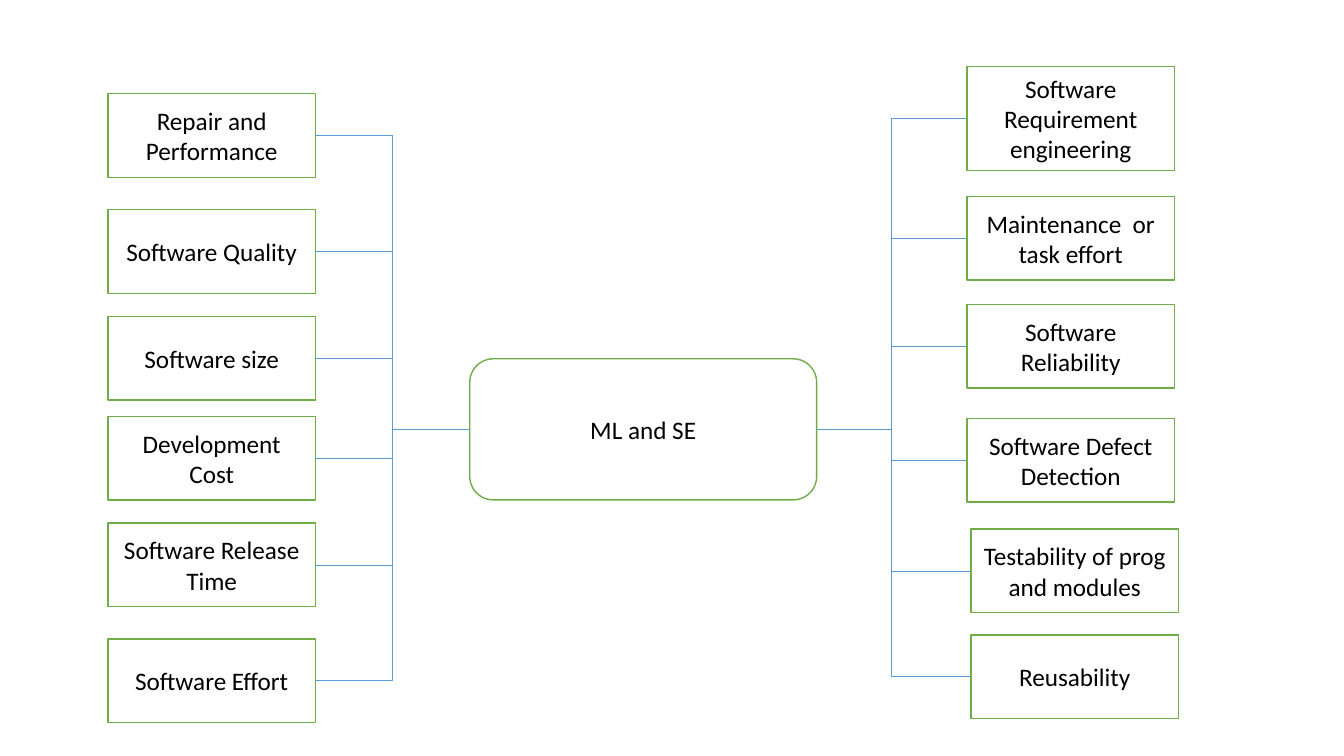
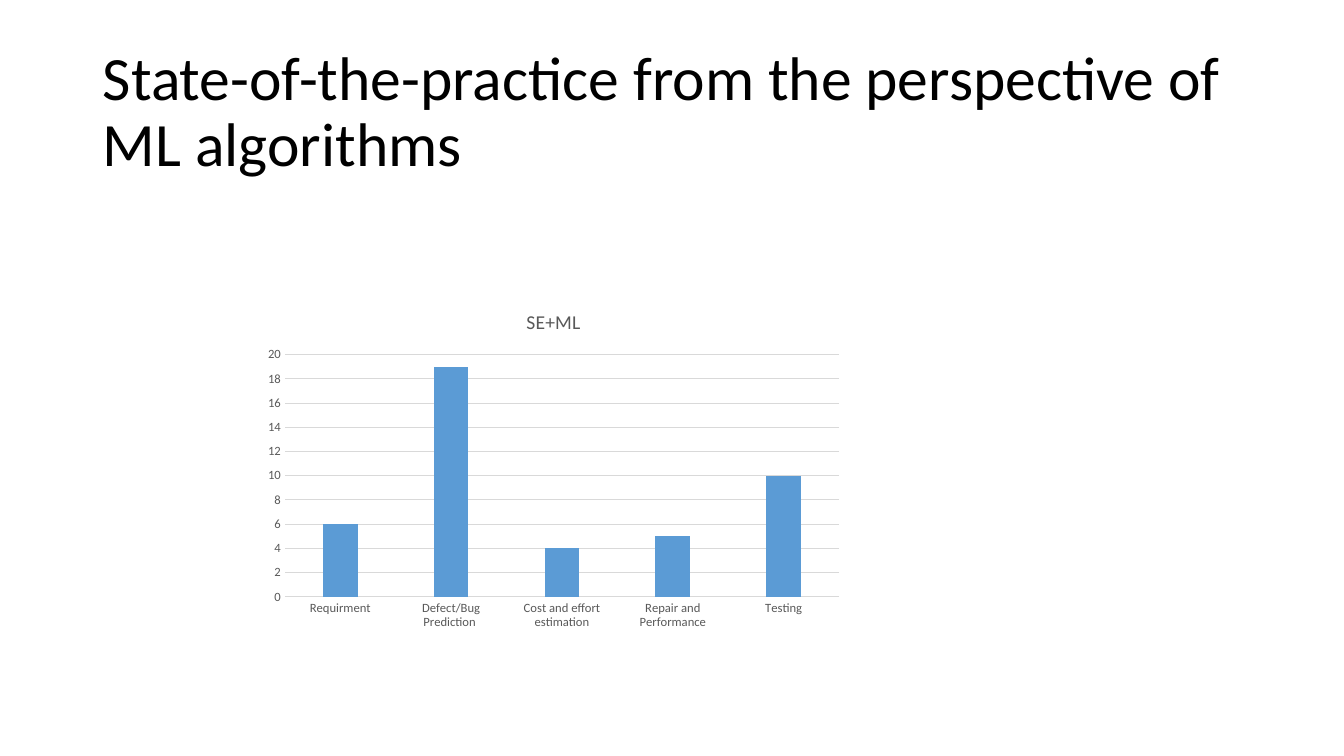
from dataclasses import dataclass

from lxml.etree import SubElement
from pptx import Presentation
from pptx.chart.data import CategoryChartData
from pptx.dml.color import RGBColor
from pptx.enum.chart import XL_CHART_TYPE, XL_TICK_MARK
from pptx.enum.shapes import MSO_CONNECTOR, MSO_SHAPE
from pptx.enum.text import MSO_ANCHOR, MSO_AUTO_SIZE, PP_ALIGN
from pptx.oxml.ns import qn
from pptx.util import Inches, Pt


@dataclass(frozen=True)
class Theme:
    font: str = "Calibri"
    text: RGBColor = RGBColor(0, 0, 0)
    muted: RGBColor = RGBColor(0x59, 0x59, 0x59)
    paper: RGBColor = RGBColor(255, 255, 255)
    border: RGBColor = RGBColor(0x70, 0xAD, 0x47)
    accent: RGBColor = RGBColor(0x5B, 0x9B, 0xD5)
    grid: RGBColor = RGBColor(0xD9, 0xD9, 0xD9)
    title_size: int = 44
    box_size: int = 18
    chart_title_size: int = 14
    axis_size: int = 9


THEME = Theme()
HUB = ("ML and SE", 4.66, 3.56, 3.44, 1.4)
TOPIC_WIDTH, TOPIC_HEIGHT, TALL_HEIGHT = 2.06, 0.83, 1.03
TOP_SITE, LEFT_SITE, BOTTOM_SITE, RIGHT_SITE = range(4)

LEFT_TOPICS = [
    ("Repair and Performance", 1.07, 0.93, TOPIC_HEIGHT, "straight", 2.5),
    ("Software Quality", 1.07, 2.08, TOPIC_HEIGHT, "hub", None),
    ("Software size", 1.07, 3.14, TOPIC_HEIGHT, "hub", None),
    ("Development Cost", 1.07, 4.13, TOPIC_HEIGHT, "hub", None),
    ("Software Release Time", 1.07, 5.19, TOPIC_HEIGHT, "corner", 4.26),
    ("Software Effort", 1.07, 6.34, TOPIC_HEIGHT, "corner", 5.4),
]
RIGHT_TOPICS = [
    ("Software Requirement engineering", 9.59, 0.66, TALL_HEIGHT, "straight", 2.37),
    ("Maintenance  or task effort", 9.59, 1.95, TOPIC_HEIGHT, "hub", None),
    ("Software Reliability", 9.59, 3.02, TOPIC_HEIGHT, "hub", None),
    ("Software Defect Detection", 9.59, 4.15, TOPIC_HEIGHT, "hub", None),
    ("Testability of prog and modules", 9.63, 5.25, TOPIC_HEIGHT, "corner", 4.36),
    ("Reusability", 9.63, 6.3, TOPIC_HEIGHT, "corner", 4.26),
]
SIDES = [
    (LEFT_TOPICS, RIGHT_SITE, LEFT_SITE),
    (RIGHT_TOPICS, LEFT_SITE, RIGHT_SITE),
]

CHART_SLIDE_TITLE = "State-of-the-practice from the perspective of ML algorithms"
CHART_TITLE = "SE+ML"
CHART_PLACE = (2.54, 2.9, 5.9, 3.42)
CHART_VALUES = {
    "Requirment": 6,
    "Defect/Bug Prediction ": 19,
    "Cost and effort estimation": 4,
    "Repair and Performance": 5,
    "Testing": 10,
}


def style_font(font, size, color):
    font.name = THEME.font
    font.size = Pt(size)
    font.bold = False
    font.color.rgb = color


def add_box(slide, preset, label, left, top, width, height):
    box = slide.shapes.add_shape(preset, *map(Inches, (left, top, width, height)))
    box.shadow.inherit = False
    box.fill.solid()
    box.fill.fore_color.rgb = THEME.paper
    box.line.color.rgb = THEME.border
    box.line.width = Pt(1)
    frame = box.text_frame
    frame.text = label
    frame.word_wrap = True
    frame.vertical_anchor = MSO_ANCHOR.MIDDLE
    para = frame.paragraphs[0]
    para.alignment = PP_ALIGN.CENTER
    style_font(para.runs[0].font, THEME.box_size, THEME.text)
    return box


def add_link(slide, kind, start, end):
    link = slide.shapes.add_connector(kind, *map(Inches, (*start, *end)))
    link.line.color.rgb = THEME.accent
    link.line.width = Pt(0.5)
    SubElement(link._element.spPr, qn("a:effectLst"))
    return link


def site_point(left, top, width, height, site):
    return left + (width if site == RIGHT_SITE else 0), top + height / 2


def add_route(slide, start, route, end):
    if route == "corner":
        link = add_link(slide, MSO_CONNECTOR.ELBOW, start, end)
        link._element.spPr.find(qn("a:prstGeom")).set("prst", "bentConnector2")
    else:
        turn = (end[0], start[1])
        add_link(slide, MSO_CONNECTOR.STRAIGHT, start, turn)
        add_link(slide, MSO_CONNECTOR.STRAIGHT, turn, end)


def build_map_slide(deck):
    page = deck.slides.add_slide(deck.slide_layouts[6])
    hub = add_box(page, MSO_SHAPE.ROUNDED_RECTANGLE, *HUB)
    for topics, topic_site, hub_site in SIDES:
        hub_point = site_point(*HUB[1:], hub_site)
        inner_edge = topics[0][1] + (TOPIC_WIDTH if topic_site == RIGHT_SITE else 0)
        trunk = (inner_edge + hub_point[0]) / 2
        for label, left, top, height, route, end_height in topics:
            place = (left, top, TOPIC_WIDTH, height)
            box = add_box(page, MSO_SHAPE.RECTANGLE, label, *place)
            start = site_point(*place, topic_site)
            if route == "hub":
                link = add_link(page, MSO_CONNECTOR.ELBOW, start, hub_point)
                link.begin_connect(box, topic_site)
                link.end_connect(hub, hub_site)
            else:
                add_route(page, start, route, (trunk, end_height))


def set_title(page, label):
    title = page.shapes.title
    title.left, title.top, title.width, title.height = map(Inches, (0.92, 0.4, 11.5, 1.45))
    frame = title.text_frame
    frame.text = label
    frame.word_wrap = True
    frame.auto_size = MSO_AUTO_SIZE.NONE
    frame.vertical_anchor = MSO_ANCHOR.MIDDLE
    para = frame.paragraphs[0]
    para.alignment = PP_ALIGN.LEFT
    para.line_spacing = 0.9
    style_font(para.runs[0].font, THEME.title_size, THEME.text)


def style_axis(axis):
    axis.major_tick_mark = XL_TICK_MARK.NONE
    axis.minor_tick_mark = XL_TICK_MARK.NONE
    style_font(axis.tick_labels.font, THEME.axis_size, THEME.muted)


def style_rule(line):
    line.color.rgb = THEME.grid
    line.width = Pt(0.75)


def build_chart_slide(deck):
    page = deck.slides.add_slide(deck.slide_layouts[5])
    set_title(page, CHART_SLIDE_TITLE)
    data = CategoryChartData()
    data.categories = list(CHART_VALUES)
    data.add_series("Series 1", list(CHART_VALUES.values()))
    chart = page.shapes.add_chart(
        XL_CHART_TYPE.COLUMN_CLUSTERED, *map(Inches, CHART_PLACE), data
    ).chart
    style_font(chart.font, 10, THEME.text)
    chart.has_legend = False
    chart.has_title = True
    heading = chart.chart_title.text_frame
    heading.text = CHART_TITLE
    style_font(heading.paragraphs[0].runs[0].font, THEME.chart_title_size, THEME.muted)

    plot = chart.plots[0]
    plot.vary_by_categories = False
    plot.gap_width = 219
    plot.overlap = -27
    bars = plot.series[0].format
    bars.fill.solid()
    bars.fill.fore_color.rgb = THEME.accent

    style_axis(chart.category_axis)
    style_rule(chart.category_axis.format.line)
    values = chart.value_axis
    style_axis(values)
    values.minimum_scale, values.maximum_scale, values.major_unit = 0, 20, 2
    values.format.line.fill.background()
    values.has_major_gridlines = True
    style_rule(values.major_gridlines.format.line)


deck = Presentation()
deck.slide_width, deck.slide_height = Inches(13.33), Inches(7.5)
build_map_slide(deck)
build_chart_slide(deck)
deck.save("out.pptx")
